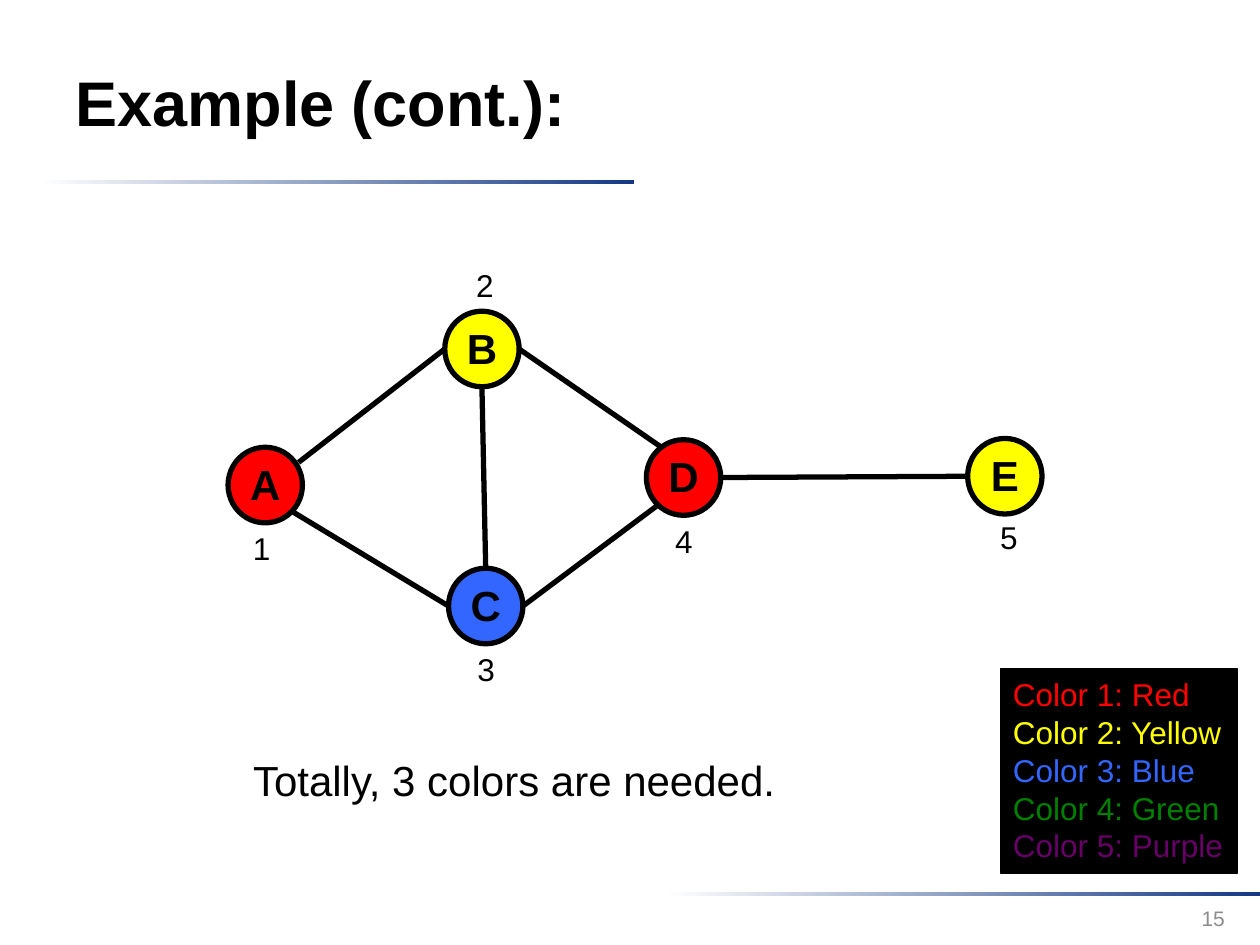
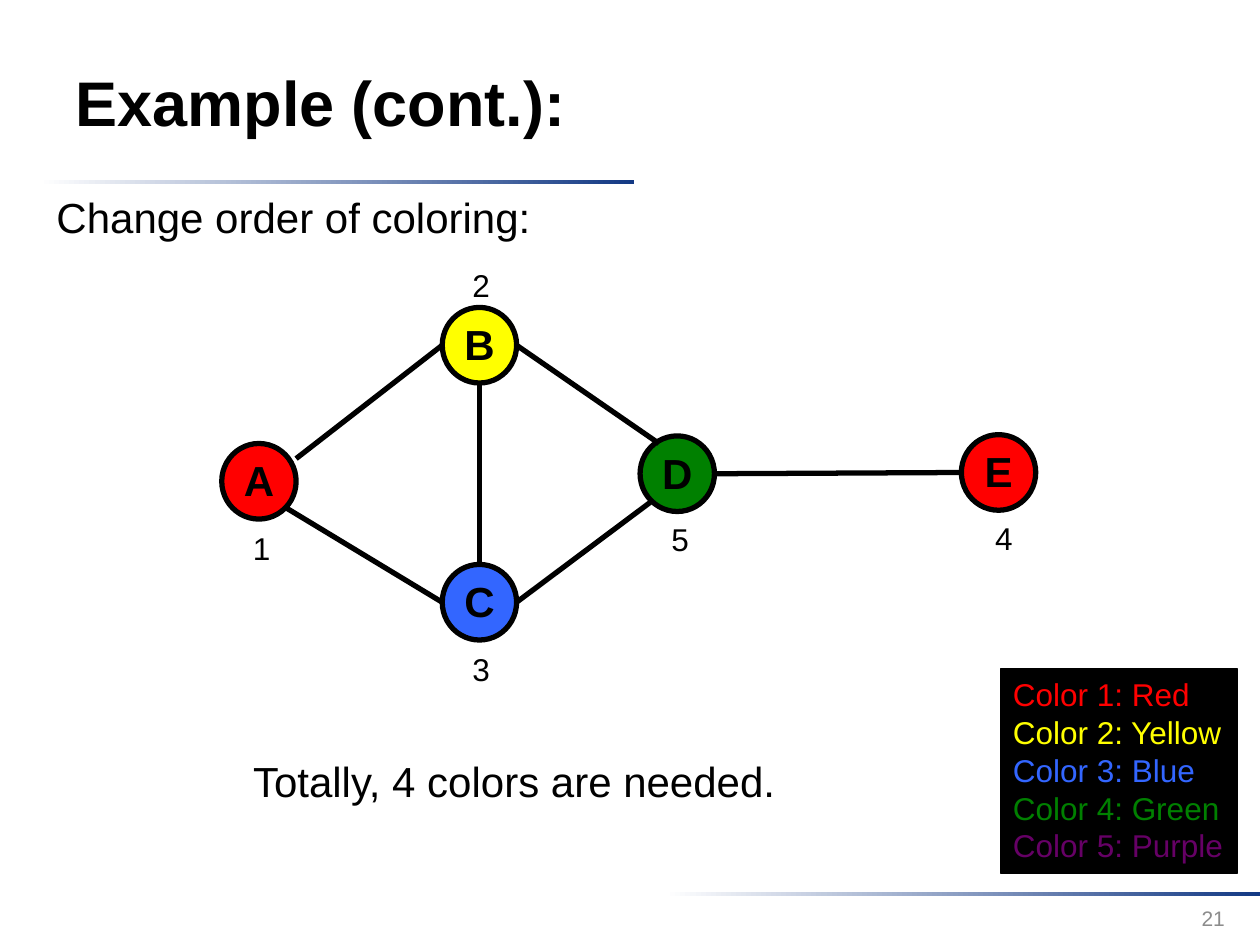
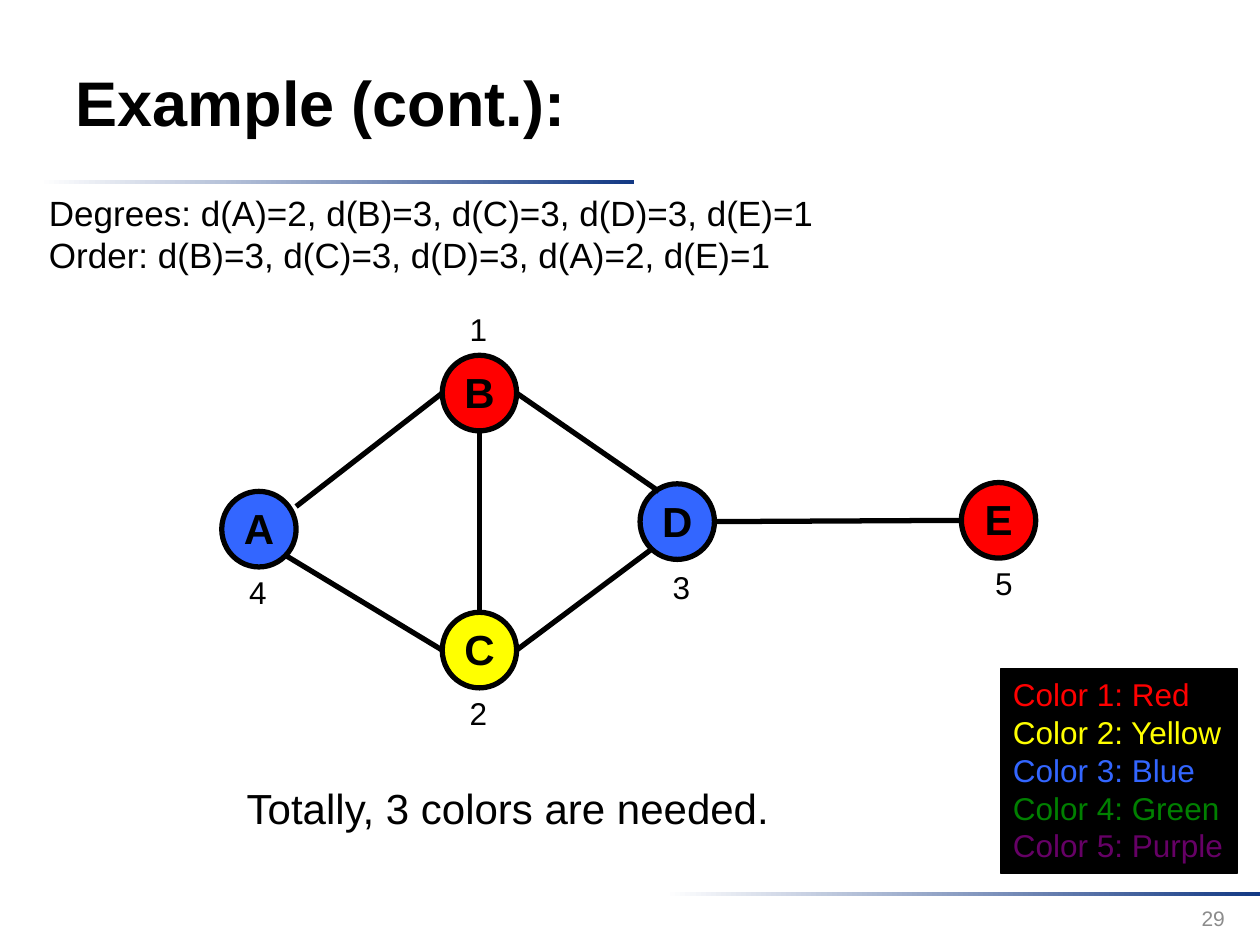
from lxml import etree
from pptx import Presentation
from pptx.dml.color import RGBColor
from pptx.enum.shapes import MSO_CONNECTOR, MSO_SHAPE
from pptx.enum.text import MSO_ANCHOR, MSO_AUTO_SIZE, PP_ALIGN
from pptx.oxml.ns import qn
from pptx.util import Inches, Pt

FONT = "Arial"
BLACK = RGBColor(0x00, 0x00, 0x00)
WHITE = RGBColor(0xFF, 0xFF, 0xFF)
NAVY = RGBColor(0x13, 0x39, 0x84)
GRAY = RGBColor(0x8C, 0x8C, 0x8C)
RED = RGBColor(0xFF, 0x00, 0x00)
YELLOW = RGBColor(0xFF, 0xFF, 0x00)
BLUE = RGBColor(0x33, 0x66, 0xFF)
GREEN = RGBColor(0x00, 0x80, 0x00)
PURPLE = RGBColor(0x66, 0x00, 0x66)

PALETTE = [("Red", RED), ("Yellow", YELLOW), ("Blue", BLUE), ("Green", GREEN), ("Purple", PURPLE)]
TITLE_BOX = (0.5, 0.18, 7.73, 1.25)
BAND_BOXES = [(0.31, 1.43, 4.72, 0.03), (5.28, 7.08, 4.72, 0.03)]
NUMBER_BOX = (7.49, 7.09, 2.33, 0.4)
LEGEND_BOX = (7.94, 5.31, 1.88, 1.62)

NODE_W, NODE_H = 0.59, 0.6
LETTER_W, LETTER_H = 0.44, 0.5
NODE_OFFSETS = {"A": (0, 1.08), "B": (1.75, 0), "C": (1.75, 2.04), "D": (3.32, 1.02), "E": (5.87, 1.01)}
SIDES = {
    "left": (0, NODE_H / 2),
    "right": (NODE_W, NODE_H / 2),
    "top": (NODE_W / 2, 0),
    "bottom": (NODE_W / 2, NODE_H),
}
EDGES = [
    ("A", "A upper", "B", "left"),
    ("A", "A lower", "C", "left"),
    ("B", "right", "D", "D upper"),
    ("C", "right", "D", "D lower"),
    ("D", "right", "E", "left"),
    ("B", "bottom", "C", "top"),
]

SLIDES = [
    dict(
        number="15", origin=(1.81, 2.47), b_shift=-0.03, intro=None,
        nodes={
            "A": (RED, "1", 0.10, 0.60),
            "B": (YELLOW, "2", 0.15, -0.41),
            "C": (BLUE, "3", 0.13, 0.60),
            "D": (RED, "4", 0.13, 0.60),
            "E": (YELLOW, "5", 0.16, 0.58),
        },
        result=("Totally, 3 colors are needed.", 1.91, 5.94),
    ),
    dict(
        number="21", origin=(1.76, 2.44), b_shift=0,
        intro=(["Change order of coloring:"], (0.35, 1.47, 4, 0.5), 24),
        nodes={
            "A": (RED, "1", 0.15, 0.63),
            "B": (YELLOW, "2", 0.14, -0.38),
            "C": (BLUE, "3", 0.14, 0.63),
            "D": (GREEN, "5", 0.15, 0.62),
            "E": (RED, "4", 0.17, 0.62),
        },
        result=("Totally, 4 colors are needed.", 1.91, 5.95),
    ),
    dict(
        number="29", origin=(1.76, 2.82), b_shift=0,
        intro=(
            [
                "Degrees: d(A)=2, d(B)=3, d(C)=3, d(D)=3, d(E)=1",
                "Order: d(B)=3, d(C)=3, d(D)=3, d(A)=2, d(E)=1",
            ],
            (0.29, 1.47, 6.32, 0.77), 20,
        ),
        nodes={
            "A": (BLUE, "4", 0.12, 0.60),
            "B": (RED, "1", 0.12, -0.41),
            "C": (YELLOW, "2", 0.12, 0.60),
            "D": (BLUE, "3", 0.16, 0.62),
            "E": (RED, "5", 0.17, 0.60),
        },
        result=("Totally, 3 colors are needed.", 1.86, 6.16),
    ),
]


def inches(box):
    return [Inches(v) for v in box]


def write(p, text, size=18, color=BLACK, bold=False, align=PP_ALIGN.LEFT):
    p.alignment = align
    r = p.add_run()
    r.text = text
    r.font.name = FONT
    r.font.size = Pt(size)
    r.font.bold = bold
    r.font.color.rgb = color


def fit_text(tf):
    tf.word_wrap = False
    tf.auto_size = MSO_AUTO_SIZE.SHAPE_TO_FIT_TEXT


def add_text(shapes, lines, box, **fmt):
    tf = shapes.add_textbox(*inches(box)).text_frame
    fit_text(tf)
    for i, line in enumerate(lines):
        write(tf.add_paragraph() if i else tf.paragraphs[0], line, **fmt)


def add_shape(shapes, kind, box, fill, line_width):
    sp = shapes.add_shape(kind, *inches(box))
    sp.shadow.inherit = False
    sp.fill.solid()
    sp.fill.fore_color.rgb = fill
    sp.line.color.rgb = BLACK
    sp.line.width = Pt(line_width)
    return sp


def add_band(layout, s, box):
    sp = s.shapes.add_shape(MSO_SHAPE.RECTANGLE, *inches(box))
    sp.shadow.inherit = False
    sp.line.fill.background()
    sp.fill.gradient()
    sp.fill.gradient_angle = 0
    for stop, color in zip(sp.fill.gradient_stops, (WHITE, NAVY)):
        stop.color.rgb = color
    layout.shapes.element.append(sp.element)


def style_layout(layout, s):
    for ph in list(layout.placeholders):
        if ph.placeholder_format.idx:
            layout.shapes.element.remove(ph.element)
        else:
            ph.left, ph.top, ph.width, ph.height = inches(TITLE_BOX)
    for box in BAND_BOXES:
        add_band(layout, s, box)


def add_heading(s, number):
    tf = s.shapes.title.text_frame
    tf.vertical_anchor = MSO_ANCHOR.MIDDLE
    write(tf.paragraphs[0], "Example (cont.):", size=36, bold=True)
    tf = s.shapes.add_textbox(*inches(NUMBER_BOX)).text_frame
    tf.word_wrap = True
    tf.vertical_anchor = MSO_ANCHOR.MIDDLE
    write(tf.paragraphs[0], number, size=12, color=GRAY, align=PP_ALIGN.RIGHT)


def add_node(s, letter, x, y, color):
    group = s.shapes.add_group_shape()
    add_shape(group.shapes, MSO_SHAPE.OVAL, (x, y, NODE_W, NODE_H), color, 3)
    box = (x + (NODE_W - LETTER_W) / 2, y + 0.04, LETTER_W, LETTER_H)
    add_text(group.shapes, [letter], box, size=24, bold=True, align=PP_ALIGN.CENTER)


def add_edge(s, start, end):
    line = s.shapes.add_connector(MSO_CONNECTOR.STRAIGHT, *inches(start + end))
    line.line.color.rgb = BLACK
    line.line.width = Pt(3)
    etree.SubElement(line.element.spPr, qn("a:effectLst"))


def add_graph(s, origin, nodes, b_shift):
    left, top = origin
    places = {n: (left + dx, top + dy) for n, (dx, dy) in NODE_OFFSETS.items()}
    places["B"] = (places["B"][0] + b_shift, places["B"][1])
    ports = {
        **SIDES,
        "A upper": (0.59 + b_shift, 0.12),
        "A lower": (0.51, 0.51),
        "D upper": (0.15 + b_shift, 0.06),
        "D lower": (0.09, 0.52),
    }

    def point(node, port):
        return tuple(a + b for a, b in zip(places[node], ports[port]))

    for n, (color, *_) in nodes.items():
        add_node(s, n, *places[n], color)
    for n1, port1, n2, port2 in EDGES:
        add_edge(s, point(n1, port1), point(n2, port2))
    for n, (_, rank, dx, dy) in nodes.items():
        x, y = places[n]
        add_text(s.shapes, [rank], (x + dx, y + dy, 0.34, 0.4))


def add_legend(s, box):
    sp = add_shape(s.shapes, MSO_SHAPE.RECTANGLE, box, BLACK, 0.75)
    tf = sp.text_frame
    fit_text(tf)
    tf.vertical_anchor = MSO_ANCHOR.TOP
    for i, (name, color) in enumerate(PALETTE):
        p = tf.add_paragraph() if i else tf.paragraphs[0]
        write(p, f"Color {i + 1}: {name}", color=color)


def add_example(s, number, origin, b_shift, intro, nodes, result):
    add_heading(s, number)
    add_graph(s, origin, nodes, b_shift)
    if intro:
        lines, box, size = intro
        add_text(s.shapes, lines, box, size=size)
    text, x, y = result
    add_text(s.shapes, [text], (x, y, 4.39, 0.5), size=24)
    add_legend(s, LEGEND_BOX)


def main():
    prs = Presentation()
    prs.slide_width, prs.slide_height = Inches(10), Inches(7.5)
    layout = prs.slide_layouts[5]
    slides = [prs.slides.add_slide(layout) for _ in SLIDES]
    style_layout(layout, slides[0])
    for s, content in zip(slides, SLIDES):
        add_example(s, **content)
    prs.save("out.pptx")


if __name__ == "__main__":
    main()
